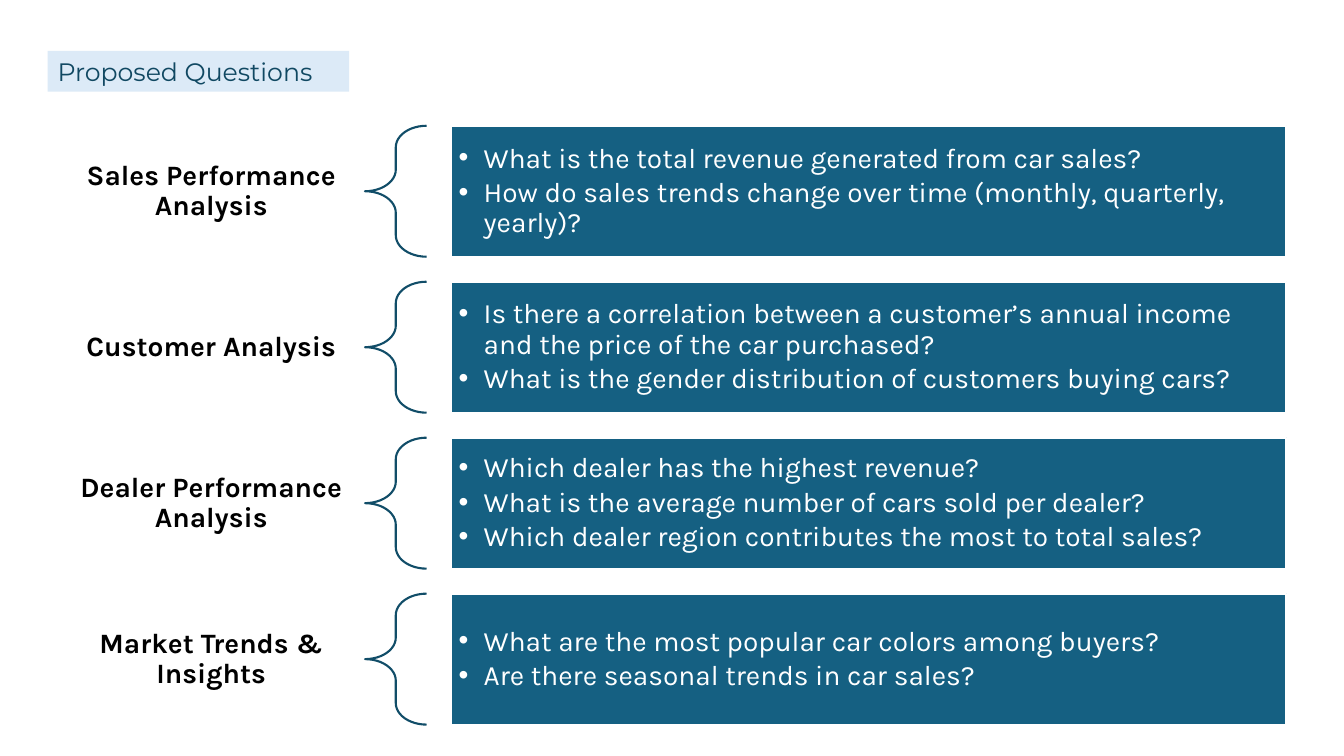
from dataclasses import dataclass

from lxml.etree import SubElement
from pptx import Presentation
from pptx.dml.color import RGBColor
from pptx.enum.shapes import MSO_SHAPE as Preset
from pptx.enum.text import MSO_ANCHOR as Anchor, MSO_AUTO_SIZE as AutoSize, PP_ALIGN as Align
from pptx.oxml.ns import qn
from pptx.util import Cm, Pt


@dataclass(frozen=True)
class Theme:
    title_font: str = "Montserrat"
    body_font: str = "Karla"
    title_size: int = 18
    body_size: int = 20
    title_text: str = "104862"
    title_fill: str = "DCEAF7"
    label_text: str = "000000"
    brace: str = "114D68"
    panel: str = "156082"
    white: str = "FFFFFF"


theme = Theme()


def format_paragraph(paragraph, name, size, color, bold=False, align=Align.LEFT):
    paragraph.alignment = align
    paragraph.space_before = Pt(0)
    paragraph.font.name = name
    paragraph.font.size = Pt(size)
    paragraph.font.bold = bold
    paragraph.font.color.rgb = RGBColor.from_string(color)


def format_frame(frame, anchor, side, end):
    frame.word_wrap = True
    frame.auto_size = AutoSize.NONE
    frame.vertical_anchor = anchor
    frame.margin_left = frame.margin_right = Cm(side)
    frame.margin_top = frame.margin_bottom = Cm(end)


topics = [
    ("Sales Performance Analysis", [
        "What is the total revenue generated from car sales?",
        "How do sales trends change over time (monthly, quarterly, yearly)?",
    ]),
    ("Customer Analysis", [
        "Is there a correlation between a customer’s annual income and the price of the car purchased?",
        "What is the gender distribution of customers buying cars?",
    ]),
    ("Dealer Performance Analysis", [
        "Which dealer has the highest revenue?",
        "What is the average number of cars sold per dealer?",
        "Which dealer region contributes the most to total sales?",
    ]),
    ("Market Trends & Insights", [
        "What are the most popular car colors among buyers?",
        "Are there seasonal trends in car sales?",
    ]),
]

presentation = Presentation()
presentation.slide_width = Cm(33.87)
presentation.slide_height = Cm(19.05)
comparison_layout = presentation.slide_layouts[4]
slide = presentation.slides.add_slide(comparison_layout)

title = slide.shapes.title
title.left, title.top, title.width, title.height = Cm(1.2), Cm(1.28), Cm(7.6), Cm(1.03)
title.fill.solid()
title.fill.fore_color.rgb = RGBColor.from_string(theme.title_fill)
format_frame(title.text_frame, Anchor.TOP, 0.25, 0.13)
title.text_frame.text = "Proposed Questions"
format_paragraph(title.text_frame.paragraphs[0], theme.title_font, theme.title_size, theme.title_text)

first_top, row_pitch, row_height = 3.17, 3.93, 3.3
panels = [shape for shape in slide.placeholders if shape.placeholder_format.idx > 0]

for row, ((topic, questions), panel) in enumerate(zip(topics, panels)):
    top, height = Cm(first_top + row * row_pitch), Cm(row_height)

    label = slide.shapes.add_textbox(Cm(1.45), top, Cm(7.75), height)
    format_frame(label.text_frame, Anchor.MIDDLE, 0.4, 0.15)
    label.text_frame.text = topic
    heading = label.text_frame.paragraphs[0]
    heading.line_spacing = 0.9
    format_paragraph(heading, theme.body_font, theme.body_size, theme.label_text, True, Align.CENTER)

    brace = slide.shapes.add_shape(Preset.LEFT_BRACE, Cm(9.2), top, Cm(1.55), height)
    brace.shadow.inherit = False
    brace.adjustments[0] = 0.35
    brace.fill.background()
    brace.line.color.rgb = RGBColor.from_string(theme.brace)
    brace.line.width = Pt(1.5)

    panel.left, panel.top, panel.width, panel.height = Cm(11.36), top, Cm(21.06), height
    panel.fill.solid()
    panel.fill.fore_color.rgb = RGBColor.from_string(theme.panel)
    panel.line.color.rgb = RGBColor.from_string(theme.white)
    panel.line.width = Pt(1.5)
    format_frame(panel.text_frame, Anchor.MIDDLE, 0.2, 0.2)
    panel.text_frame.text = "\n".join(questions)
    for paragraph in panel.text_frame.paragraphs:
        properties = paragraph._p.get_or_add_pPr()
        properties.set("marL", str(Cm(0.63)))
        properties.set("indent", str(-Cm(0.63)))
        SubElement(properties, qn("a:buFont"), typeface="Arial")
        SubElement(properties, qn("a:buChar"), char="•")
        paragraph.line_spacing = 0.9
        paragraph.space_after = Pt(3)
        format_paragraph(paragraph, theme.body_font, theme.body_size, theme.white)

presentation.save("out.pptx")
